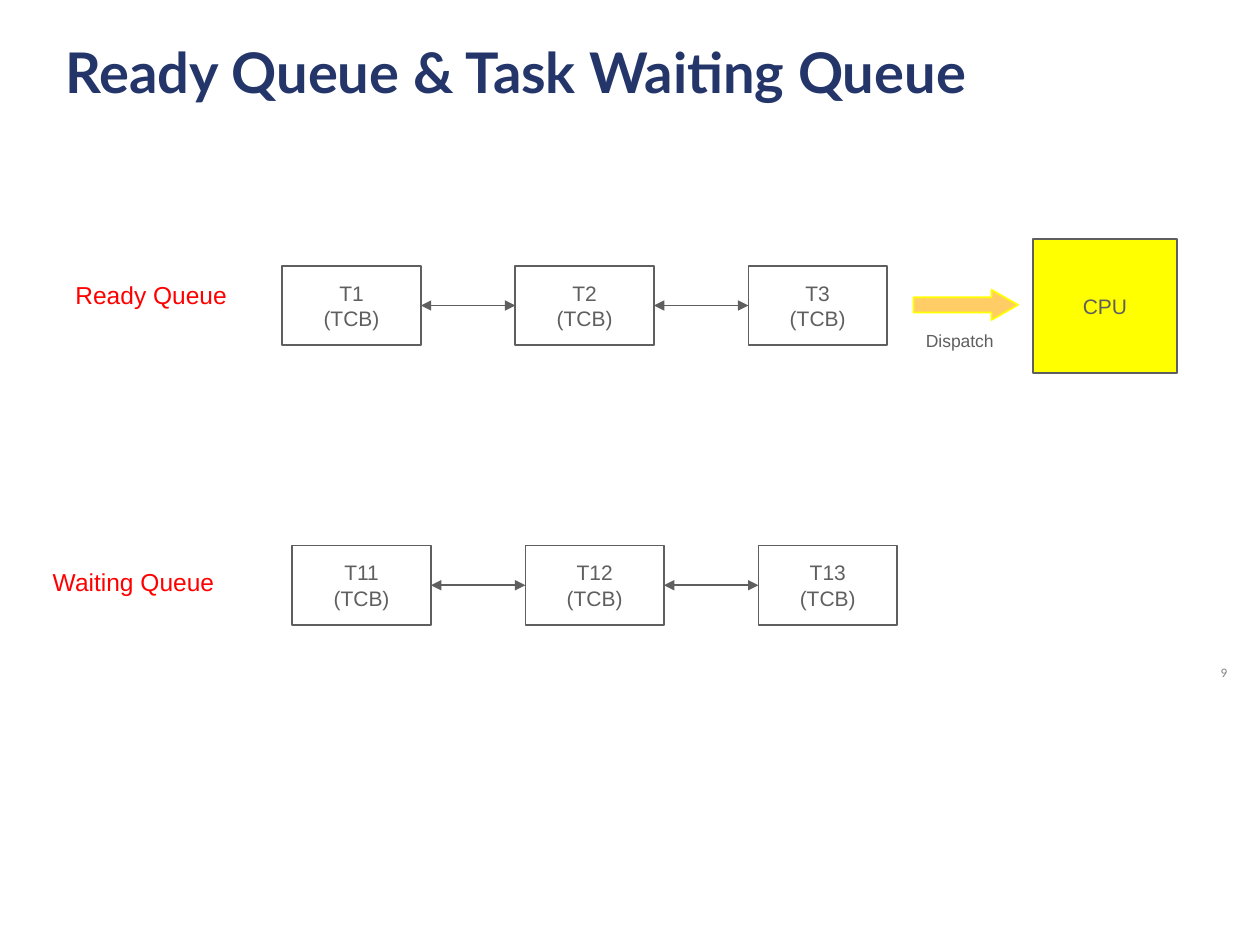
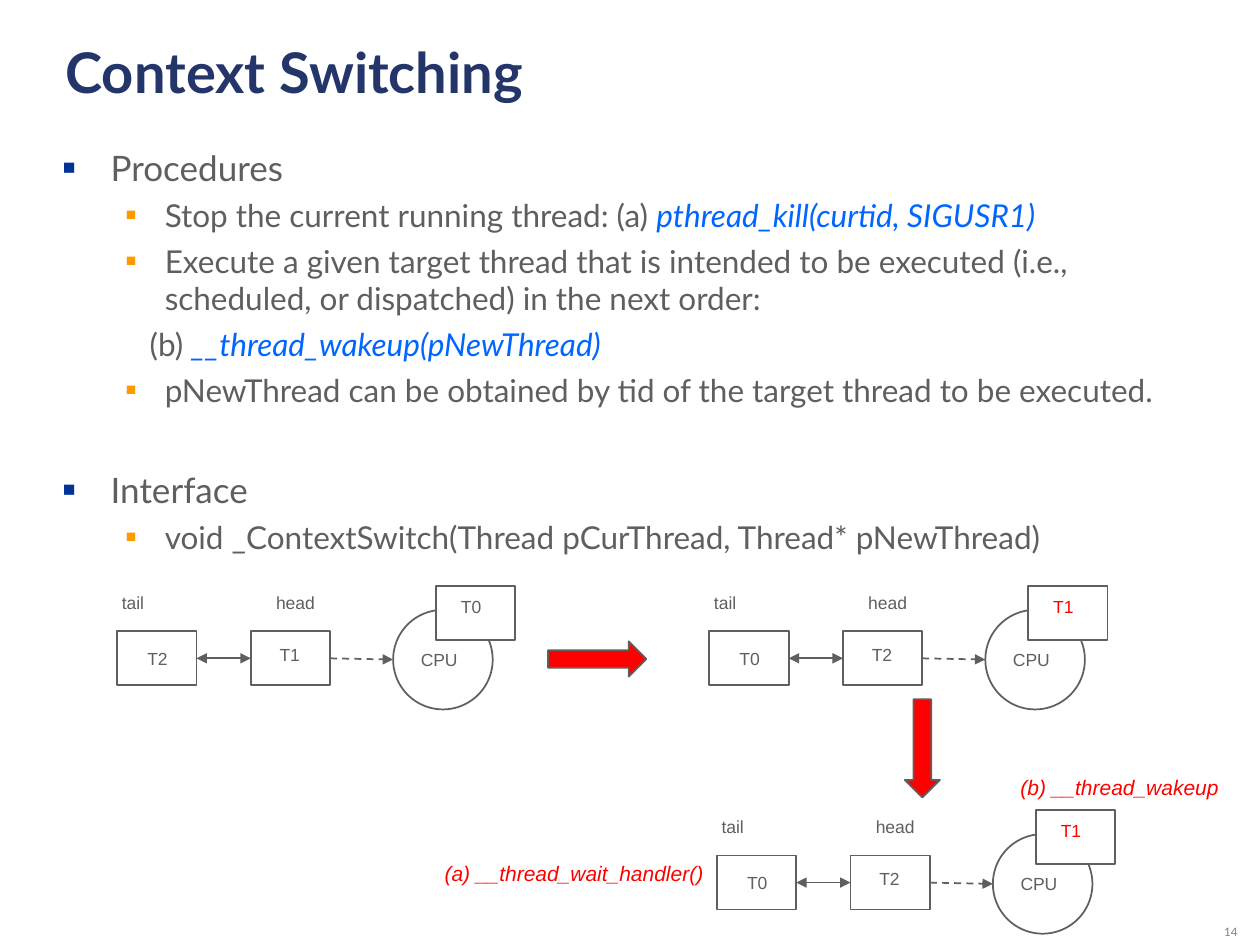
from dataclasses import dataclass

from lxml.etree import SubElement
from pptx import Presentation
from pptx.dml.color import RGBColor
from pptx.enum.dml import MSO_LINE
from pptx.enum.shapes import MSO_CONNECTOR, MSO_SHAPE
from pptx.enum.text import MSO_ANCHOR, MSO_AUTO_SIZE, PP_ALIGN
from pptx.oxml.ns import qn
from pptx.presentation import Presentation as Deck
from pptx.shapes.autoshape import Shape
from pptx.shapes.connector import Connector
from pptx.slide import Slide
from pptx.text.text import Font
from pptx.util import Emu, Pt

EMU_PER_PX = 9144  # 100 px to the inch
COLORS = {
    "title": "24356A",
    "text": "5F5F5F",
    "page": "808080",
    "red": "FF0000",
    "white": "FFFFFF",
    "yellow": "FFFF00",
    "orange": "FFCC66",
    "code": "0066FF",
    "bullet": "003399",
    "sub_bullet": "FF9900",
}
HEADING_FONT, DIAGRAM_FONT = "Lato", "Arial"
RIGHT_SIDE, LEFT_SIDE = 3, 1


@dataclass(frozen=True)
class Area:
    left: int
    top: int
    width: int
    height: int

    def emu(self) -> list[Emu]:
        return [px(n) for n in (self.left, self.top, self.width, self.height)]


@dataclass(frozen=True)
class Label:
    text: str
    area: Area
    size: int = 10
    color: str = "text"
    italic: bool = False
    centered: bool = False


@dataclass(frozen=True)
class Queue:
    left: int
    top: int
    tasks: tuple[str, ...]


@dataclass(frozen=True)
class Scene:
    """A two-thread queue beside the CPU, placed by its tail box."""
    left: int
    top: int
    tail: str
    head: str
    running: str
    running_color: str


@dataclass(frozen=True)
class Level:
    margin: int
    indent: int
    size: int
    before: float
    bullet: str = ""
    bullet_percent: int = 0


@dataclass(frozen=True)
class Item:
    level: Level
    text: str
    code: str = ""
    before: float | None = None


TOPIC = Level(38, -38, 20, 5, "bullet", 60)
POINT = Level(81, -31, 18, 4.5, "sub_bullet", 55)
CONTINUATION = Level(69, 0, 18, 4.5)

PROCEDURE = (
    Item(TOPIC, "Procedures"),
    Item(POINT, "Stop the current running thread: (a) ", "pthread_kill(curtid, SIGUSR1)"),
    Item(POINT, "Execute a given target thread that is intended to be executed "
                "(i.e., scheduled, or dispatched) in the next order:"),
    Item(CONTINUATION, "(b) ", "__thread_wakeup(pNewThread)"),
    Item(POINT, "pNewThread can be obtained by tid of the target thread to be executed."),
    Item(TOPIC, "Interface", before=34),
    Item(POINT, "void _ContextSwitch(Thread pCurThread, Thread* pNewThread)"),
)

QUEUES = (
    Queue(232, 433, ("T11", "T12", "T13")),
    Queue(224, 211, ("T1", "T2", "T3")),
)
QUEUE_LABELS = (
    Label("Ready Queue", Area(50, 217, 140, 34), 14, "red"),
    Label("Waiting Queue", Area(32, 445, 149, 34), 14, "red"),
    Label("Dispatch", Area(725, 257, 74, 27)),
)
SCENES = (
    Scene(93, 501, "T2", "T1", "T0", "text"),
    Scene(563, 501, "T0", "T2", "T1", "red"),
    Scene(569, 679, "T0", "T2", "T1", "red"),
)
STEP_LABELS = (
    Label("(b) __thread_wakeup", Area(800, 610, 185, 30), 12, "red", True),
    Label("(a) __thread_wait_handler()", Area(343, 678, 232, 30), 12, "red", True),
)


def px(length: int) -> Emu:
    return Emu(length * EMU_PER_PX)


def rgb(color: str) -> RGBColor:
    return RGBColor.from_string(COLORS[color])


def set_font(font: Font, name: str, size: float, color: str) -> None:
    font.name, font.size = name, Pt(size)
    font.color.rgb = rgb(color)


def add_page(deck: Deck, title: str, number: str, number_area: Area) -> Slide:
    page = deck.slides.add_slide(deck.slide_layouts[5])
    box = page.shapes.title
    box.left, box.top, box.width, box.height = Area(42, 25, 903, 122).emu()
    frame = box.text_frame
    frame.text = title
    frame.vertical_anchor = MSO_ANCHOR.TOP
    frame.auto_size = MSO_AUTO_SIZE.NONE
    para = frame.paragraphs[0]
    para.alignment = PP_ALIGN.LEFT
    set_font(para.font, HEADING_FONT, 32, "title")
    para.font.bold = True

    frame = page.shapes.add_textbox(*number_area.emu()).text_frame
    frame.word_wrap = True
    frame.vertical_anchor = MSO_ANCHOR.BOTTOM
    para = frame.paragraphs[0]
    para.text, para.alignment, para.line_spacing = number, PP_ALIGN.RIGHT, 0.8
    set_font(para.font, HEADING_FONT, 6.6, "page")
    return page


def add_label(page: Slide, label: Label) -> None:
    frame = page.shapes.add_textbox(*label.area.emu()).text_frame
    frame.word_wrap = False
    frame.auto_size = MSO_AUTO_SIZE.NONE
    para = frame.paragraphs[0]
    para.text = label.text
    para.alignment = PP_ALIGN.CENTER if label.centered else PP_ALIGN.LEFT
    set_font(para.font, DIAGRAM_FONT, label.size, label.color)
    para.font.italic = label.italic


def add_figure(page: Slide, kind: MSO_SHAPE, area: Area, fill: str | None = None,
               line: str = "text", text: str = "") -> Shape:
    figure = page.shapes.add_shape(kind, *area.emu())
    figure.shadow.inherit = False
    if fill:
        figure.fill.solid()
        figure.fill.fore_color.rgb = rgb(fill)
    else:
        figure.fill.background()
    figure.line.color.rgb = rgb(line)
    figure.line.width = Pt(1)
    if text:
        frame = figure.text_frame
        frame.text = text
        frame.word_wrap = False
        frame.vertical_anchor = MSO_ANCHOR.MIDDLE
        for para in frame.paragraphs:
            para.alignment = PP_ALIGN.CENTER
            set_font(para.font, DIAGRAM_FONT, 12, "text")
    return figure


def add_arrow(page: Slide, area: Area, fill: str, line: str, point: float,
              rotation: int = 0) -> None:
    arrow = add_figure(page, MSO_SHAPE.RIGHT_ARROW, area, fill, line)
    arrow.adjustments[0], arrow.adjustments[1] = 0.5, point
    arrow.rotation = rotation


def style_connector(link: Connector, ends: tuple[str, ...]) -> None:
    link.line.color.rgb = rgb("text")
    link.line.width = Pt(1)
    if len(ends) == 1:
        link.line.dash_style = MSO_LINE.DASH
    properties = link.element.spPr
    for end in ends:
        SubElement(properties.find(qn("a:ln")), qn(f"a:{end}"), type="triangle")
    SubElement(properties, qn("a:effectLst"))


def link_boxes(page: Slide, first: Shape, second: Shape) -> None:
    """Join two neighbours with a double-headed arrow."""
    link = page.shapes.add_connector(MSO_CONNECTOR.STRAIGHT, 0, 0, 0, 0)
    link.begin_connect(first, RIGHT_SIDE)
    link.end_connect(second, LEFT_SIDE)
    style_connector(link, ("headEnd", "tailEnd"))


def link_to_cpu(page: Slide, head: Shape, cpu: Shape) -> None:
    """Draw a dashed arrow from the head box to the CPU circle."""
    middle = cpu.top + cpu.height // 2
    link = page.shapes.add_connector(
        MSO_CONNECTOR.STRAIGHT, head.left + head.width, middle, cpu.left, middle)
    link.begin_connect(head, RIGHT_SIDE)
    style_connector(link, ("tailEnd",))


def add_queue(page: Slide, queue: Queue) -> None:
    boxes = [
        add_figure(page, MSO_SHAPE.RECTANGLE,
                   Area(queue.left + 185 * column, queue.top, 110, 63),
                   "white", text=f"{task}\n(TCB)")
        for column, task in enumerate(queue.tasks)
    ]
    for first, second in zip(boxes, boxes[1:]):
        link_boxes(page, first, second)


def add_scene(page: Slide, scene: Scene) -> None:
    def area(dx: int, dy: int, width: int, height: int) -> Area:
        return Area(scene.left + dx, scene.top + dy, width, height)

    tail, head = (add_figure(page, MSO_SHAPE.RECTANGLE, area(dx, 0, 63, 43)) for dx in (0, 106))
    cpu = add_figure(page, MSO_SHAPE.OVAL, area(219, -17, 79, 79))
    link_boxes(page, tail, head)
    link_to_cpu(page, head, cpu)
    add_figure(page, MSO_SHAPE.RECTANGLE, area(253, -36, 63, 43), "white")
    for text, place, color in (
        ("CPU", area(231, 9, 49, 27), "text"),
        (scene.head, area(119, 5, 36, 27), "text"),
        (scene.tail, area(14, 8, 36, 27), "text"),
        ("head", area(115, -36, 53, 27), "text"),
        ("tail", area(-10, -36, 45, 27), "text"),
        (scene.running, area(263, -33, 36, 27), scene.running_color),
    ):
        add_label(page, Label(text, place, color=color, centered=True))


def add_items(page: Slide, area: Area, items: tuple[Item, ...]) -> None:
    frame = page.shapes.add_textbox(*area.emu()).text_frame
    frame.word_wrap = True
    for index, item in enumerate(items):
        level = item.level
        para = frame.add_paragraph() if index else frame.paragraphs[0]
        para.space_before = Pt(item.before or level.before)
        properties = para._p.get_or_add_pPr()
        properties.set("marL", str(px(level.margin)))
        properties.set("indent", str(px(level.indent)))
        if level.bullet:
            color = SubElement(properties, qn("a:buClr"))
            SubElement(color, qn("a:srgbClr"), val=COLORS[level.bullet])
            SubElement(properties, qn("a:buSzPct"), val=str(level.bullet_percent * 1000))
            SubElement(properties, qn("a:buFont"), typeface=DIAGRAM_FONT)
            SubElement(properties, qn("a:buChar"), char="■")
        set_font(para.font, HEADING_FONT, level.size, "text")
        para.add_run().text = item.text
        if item.code:
            span = para.add_run()
            span.text = item.code
            span.font.italic = True
            span.font.color.rgb = rgb("code")


def build_queues(deck: Deck) -> None:
    page = add_page(deck, "Ready Queue & Task Waiting Queue", "9", Area(884, 519, 100, 25))
    for queue in QUEUES:
        add_queue(page, queue)
    add_figure(page, MSO_SHAPE.RECTANGLE, Area(820, 190, 114, 106), "yellow", text="CPU")
    add_arrow(page, Area(725, 230, 83, 24), "orange", "yellow", 0.875)
    for label in QUEUE_LABELS:
        add_label(page, label)


def build_context_switch(deck: Deck) -> None:
    page = add_page(deck, "Context Switching", "14", Area(892, 725, 100, 25))
    add_items(page, Area(40, 111, 904, 567), PROCEDURE)
    for scene in SCENES:
        add_scene(page, scene)
    for label in STEP_LABELS:
        add_label(page, label)
    add_arrow(page, Area(435, 509, 78, 28), "red", "text", 0.5)
    add_arrow(page, Area(693, 580, 78, 28), "red", "text", 0.5, rotation=90)


def main() -> None:
    deck = Presentation()
    deck.slide_width, deck.slide_height = px(1000), px(750)
    build_queues(deck)
    build_context_switch(deck)
    deck.save("out.pptx")


if __name__ == "__main__":
    main()
